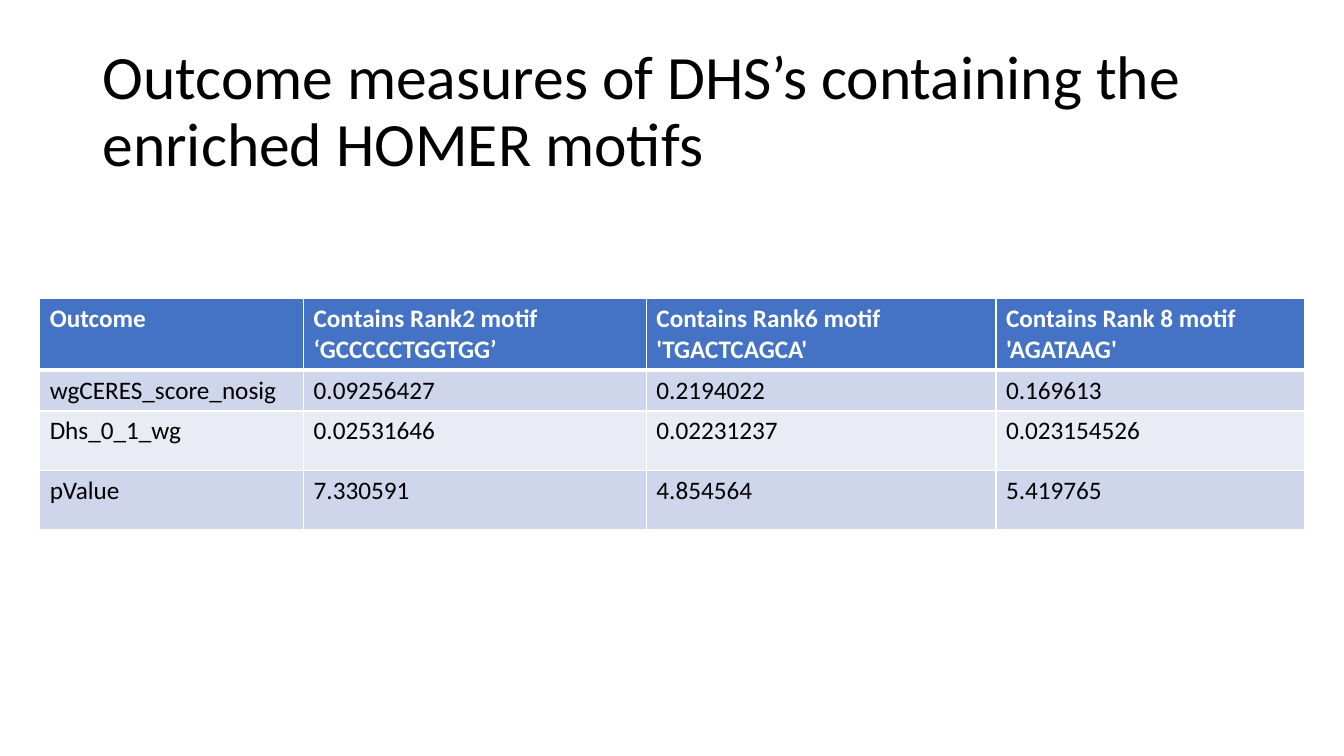
from lxml import etree
from pptx import Presentation
from pptx.dml.color import RGBColor
from pptx.enum import text
from pptx.oxml import ns
from pptx.util import Cm, Pt

FONT = "Calibri"
BLACK = RGBColor(0x00, 0x00, 0x00)
WHITE = RGBColor(0xFF, 0xFF, 0xFF)
BLUE = RGBColor(0x44, 0x72, 0xC4)
BAND = RGBColor(0xCF, 0xD5, 0xEA)
PALE = RGBColor(0xE9, 0xEB, 0xF5)

TITLE = "Outcome measures of DHS’s containing the enriched HOMER motifs"
ROWS = [
    ["Outcome", "Contains Rank2 motif ‘GCCCCCTGGTGG’",
     "Contains Rank6 motif 'TGACTCAGCA'", "Contains Rank 8 motif 'AGATAAG'"],
    ["wgCERES_score_nosig", "0.09256427", "0.2194022", "0.169613"],
    ["Dhs_0_1_wg", "0.02531646", "0.02231237", "0.023154526"],
    ["pValue", "7.330591", "4.854564", "5.419765"],
]
WIDTHS = [6.65, 8.64, 8.81, 7.77]
HEIGHTS = [0.89, 0.86, 1.5, 1.5]


def style(para, size, color, bold=False):
    font = para.font
    font.name, font.size, font.bold = FONT, Pt(size), bold
    font.color.rgb = color


def add_title(slide, left, top, width, height):
    title = slide.shapes.title
    title.left, title.top, title.width, title.height = left, top, width, height
    frame = title.text_frame
    frame.text = TITLE
    frame.auto_size = text.MSO_AUTO_SIZE.NONE
    frame.vertical_anchor = text.MSO_ANCHOR.MIDDLE
    para = frame.paragraphs[0]
    para.alignment = text.PP_ALIGN.LEFT
    para.line_spacing = 0.9
    style(para, 44, BLACK)


def set_edges(cell, row):
    """Draw white cell borders, thicker between the header and the body."""
    props = cell._tc.get_or_add_tcPr()
    sides = {"L": 1, "R": 1, "T": 3 if row == 1 else 1, "B": 3 if row == 0 else 1}
    for spot, (side, points) in enumerate(sides.items()):
        line = etree.Element(ns.qn("a:ln" + side), w=str(Pt(points)))
        fill = etree.SubElement(line, ns.qn("a:solidFill"))
        etree.SubElement(fill, ns.qn("a:srgbClr"), val=str(WHITE))
        props.insert(spot, line)


def add_grid(slide, left, top):
    table = slide.shapes.add_table(
        len(ROWS), len(WIDTHS), left, top, Cm(sum(WIDTHS)), Cm(sum(HEIGHTS))).table
    for col, width in zip(table.columns, WIDTHS):
        col.width = Cm(width)
    for r, (row, height) in enumerate(zip(table.rows, HEIGHTS)):
        row.height = Cm(height)
        head = r == 0
        for cell, words in zip(row.cells, ROWS[r]):
            cell.text = words
            style(cell.text_frame.paragraphs[0], 18, WHITE if head else BLACK, head)
            cell.fill.solid()
            cell.fill.fore_color.rgb = BLUE if head else BAND if r % 2 else PALE
            set_edges(cell, r)


def main():
    deck = Presentation()
    deck.slide_width, deck.slide_height = Cm(33.87), Cm(19.05)
    slide = deck.slides.add_slide(deck.slide_layouts[5])
    add_title(slide, Cm(2.33), Cm(1.01), Cm(29.21), Cm(3.68))
    add_grid(slide, Cm(1), Cm(7.52))
    deck.save("out.pptx")


if __name__ == "__main__":
    main()
